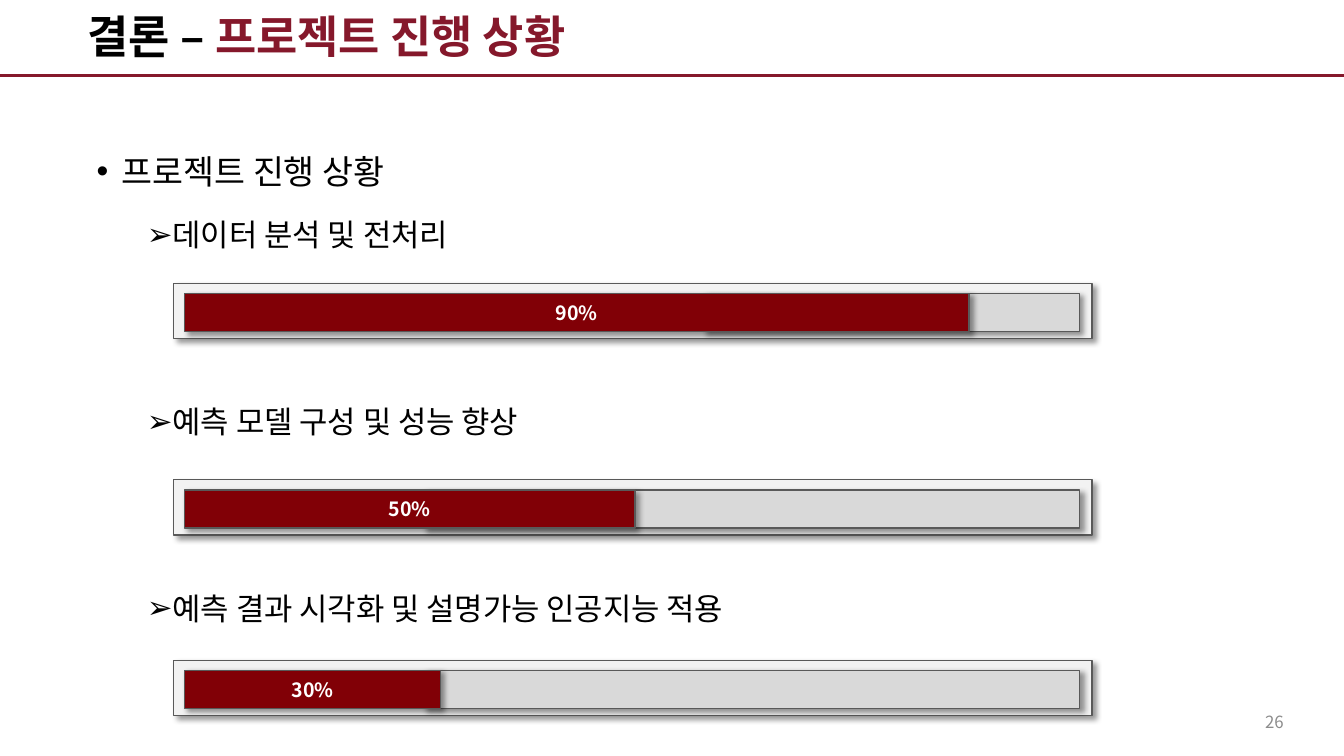
from lxml import etree
from pptx import Presentation, util as u
from pptx.dml.color import RGBColor
from pptx.enum import shapes, text
from pptx.oxml.ns import qn

FONT = "Noto Sans CJK KR"
HUES = {"wine": "85182B", "ink": "000000", "page": "8C8C8C", "frame": "F2F2F2",
        "track": "D9D9D9", "done": "810006", "edge": "595959", "white": "FFFFFF"}
TITLE = [("결론 – ", "ink"), ("프로젝트 진행 상황", "wine")]
LINES = [
    dict(words="프로젝트 진행 상황", size=24, mark="•", left=0.25, gap=0),
    dict(words="데이터 분석 및 전처리", size=22, mark="➢", left=0.75, gap=17.6),
    dict(words="예측 모델 구성 및 성능 향상", size=22, mark="➢", left=0.75, gap=107),
    dict(words="예측 결과 시각화 및 설명가능 인공지능 적용", size=22, mark="➢", left=0.75, gap=107),
]
BARS = [
    dict(label="90%", top=2.81, width=7.78, track=6.98),
    dict(label="50%", top=4.76, width=4.47, track=4.2),
    dict(label="30%", top=6.55, width=2.54, track=4.2),
]
WIDE, HIGH = 13.33, 7.5
LEFT, SPAN, DEEP = 1.72, 9.11, 0.55
PAD, INSET, THICK = 0.11, 0.1, 0.38
END = LEFT + SPAN - PAD - 0.01


def color(name):
    return RGBColor.from_string(HUES[name])


def inches(*sizes):
    return [u.Inches(size) for size in sizes]


def write(para, words, size=14, hue="ink", bold=False, align=None):
    run = para.add_run()
    run.text = words
    run.font.size = u.Pt(size)
    run.font.bold = bold
    run.font.name = FONT
    run.font.color.rgb = color(hue)
    run.font._element.set("kern", "0")
    etree.SubElement(run.font._element, qn("a:ea"), typeface=FONT)
    if align is not None:
        para.alignment = align


def bullet(para, mark, left):
    props = para._p.get_or_add_pPr()
    props.set("marL", str(u.Inches(left)))
    props.set("indent", str(u.Inches(-0.25)))
    etree.SubElement(props, qn("a:buFont"), typeface="Arial")
    etree.SubElement(props, qn("a:buChar"), char=mark)


def shade(shape):
    list_ = etree.SubElement(shape._element.spPr, qn("a:effectLst"))
    cast = etree.SubElement(list_, qn("a:outerShdw"), blurRad=str(u.Pt(4)),
                            dist=str(u.Pt(3)), dir="2700000", algn="tl", rotWithShape="0")
    tone = etree.SubElement(cast, qn("a:srgbClr"), val=HUES["ink"])
    etree.SubElement(tone, qn("a:alpha"), val="40000")


def block(group, box, hue):
    shape = group.shapes.add_shape(shapes.MSO_SHAPE.RECTANGLE, *inches(*box))
    shape.fill.solid()
    shape.fill.fore_color.rgb = color(hue)
    shape.line.color.rgb = color("edge")
    shape.line.width = u.Pt(1)
    shade(shape)
    return shape


def textbox(slide, box):
    frame = slide.shapes.add_textbox(*inches(*box)).text_frame
    frame.word_wrap = True
    return frame


def heading(slide):
    title = slide.shapes.title
    title.left, title.top, title.width, title.height = inches(0.77, 0, 10.81, 0.77)
    frame = title.text_frame
    frame.vertical_anchor = text.MSO_ANCHOR.MIDDLE
    para = frame.paragraphs[0]
    para.line_spacing = 0.9
    for words, hue in TITLE:
        write(para, words, size=32, hue=hue, bold=True, align=text.PP_ALIGN.LEFT)
    rule = slide.shapes.add_connector(shapes.MSO_CONNECTOR.STRAIGHT, *inches(0, 0.75, WIDE, 0.75))
    rule.line.color.rgb = color("wine")
    rule.line.width = u.Pt(2.25)
    etree.SubElement(rule._element.spPr, qn("a:effectLst"))


def outline(slide):
    frame = textbox(slide, (0.86, 1.25, 11.53, 5.49))
    frame.margin_top = u.Inches(0.25)
    for i, line in enumerate(LINES):
        para = frame.add_paragraph() if i else frame.paragraphs[0]
        para.level = min(i, 1)
        para.space_before = u.Pt(line["gap"])
        bullet(para, line["mark"], line["left"])
        write(para, line["words"], size=line["size"])


def progress(slide, bar):
    group = slide.shapes.add_group_shape()
    top = bar["top"] + INSET
    block(group, (LEFT, bar["top"], SPAN, DEEP), "frame")
    block(group, (bar["track"], top, END - bar["track"], THICK), "track")
    done = block(group, (LEFT + PAD, top, bar["width"], THICK), "done")
    frame = done.text_frame
    frame.vertical_anchor = text.MSO_ANCHOR.MIDDLE
    write(frame.paragraphs[0], bar["label"], hue="white", bold=True, align=text.PP_ALIGN.CENTER)


def main():
    deck = Presentation()
    deck.slide_width, deck.slide_height = inches(WIDE, HIGH)
    slide = deck.slides.add_slide(deck.slide_layouts[5])
    heading(slide)
    page = textbox(slide, (9.83, 6.96, 3, 0.4))
    page.vertical_anchor = text.MSO_ANCHOR.MIDDLE
    write(page.paragraphs[0], "26", size=12, hue="page", align=text.PP_ALIGN.RIGHT)
    outline(slide)
    for bar in BARS:
        progress(slide, bar)
    deck.save("out.pptx")


if __name__ == "__main__":
    main()
